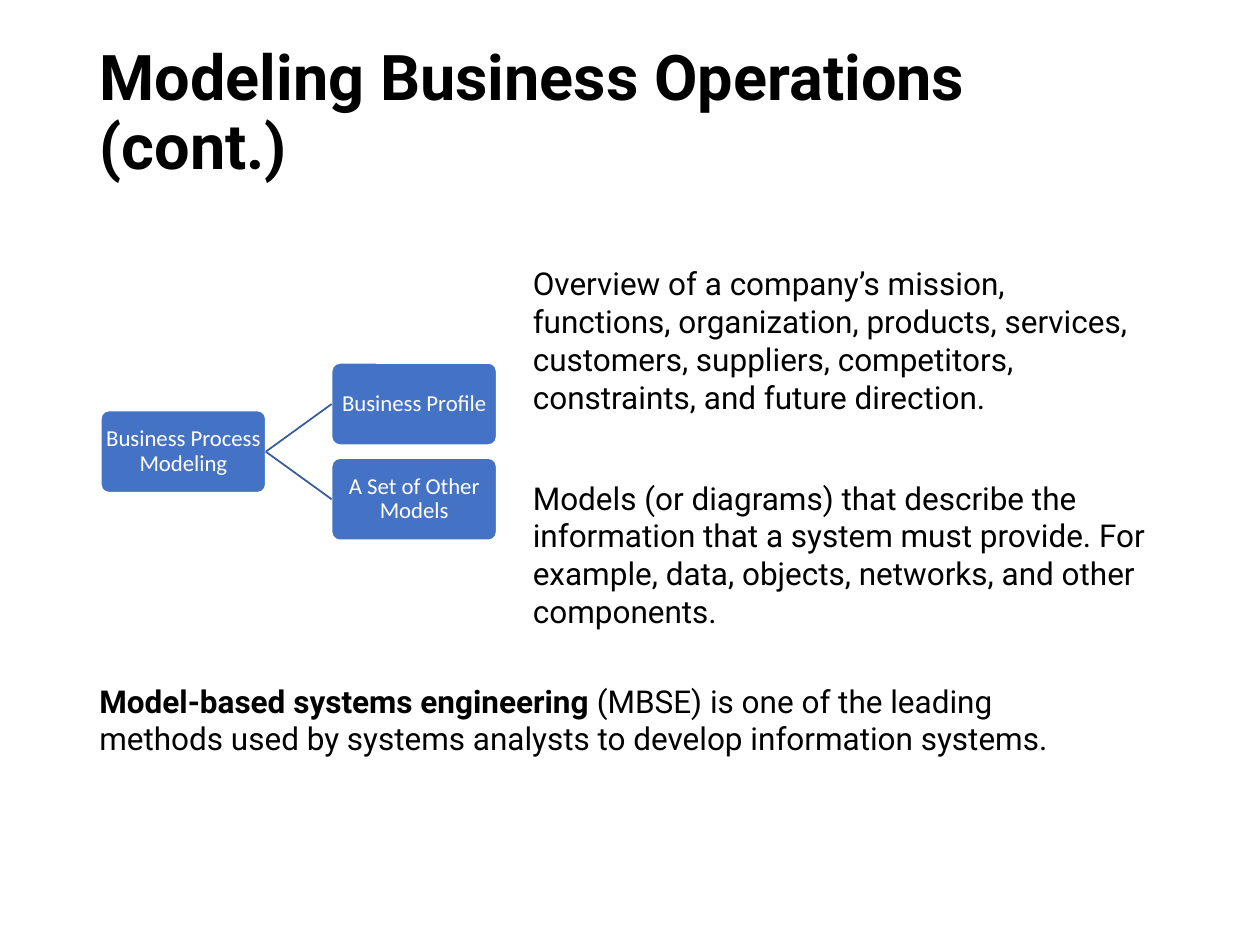
import dataclasses

import lxml.etree
import pptx
import pptx.dml.color
import pptx.enum.shapes
import pptx.enum.text
import pptx.oxml.ns
import pptx.util

Pt = pptx.util.Pt
COLORS = {"ink": "000000", "paper": "FFFFFF", "node": "4472C4", "branch": "365B9D"}
NODE_WIDTH, NODE_HEIGHT = 94.3, 47
ROOT_LEFT, MODEL_LEFT = 57.6, 189.5
ROOT_TOP, MODEL_OFFSET = 234.6, 27.2


@dataclasses.dataclass
class TextRun:
    text: str
    bold: bool = False


@dataclasses.dataclass
class Note:
    left: float
    top: float
    width: float
    height: float
    runs: list[TextRun]


@dataclasses.dataclass
class Node:
    left: float
    top: float
    label: str


NOTES = [
    Note(297.4, 147.6, 365, 94.5, [TextRun(
        "Overview of a company’s mission, functions, organization, products, "
        "services, customers, suppliers, competitors, constraints, and future direction.")]),
    Note(297.4, 270, 365, 94.5, [TextRun(
        "Models (or diagrams) that describe the information that a system must provide. "
        "For example, data, objects, networks, and other components.")]),
    Note(49.7, 386, 587.5, 51, [
        TextRun("Model-based systems engineering", True),
        TextRun(" (MBSE) is one of the leading methods used by systems analysts "
                "to develop information systems."),
    ]),
]
ROOT = Node(ROOT_LEFT, ROOT_TOP, "Business Process Modeling")
MODELS = [
    Node(MODEL_LEFT, ROOT_TOP - MODEL_OFFSET, "Business Profile"),
    Node(MODEL_LEFT, ROOT_TOP + MODEL_OFFSET, "A Set of Other Models"),
]


def rgb(name: str) -> pptx.dml.color.RGBColor:
    return pptx.dml.color.RGBColor.from_string(COLORS[name])


def add_run(para, text: str, font: str, size: float, color: str, bold: bool = False) -> None:
    run = para.add_run()
    run.text = text
    run.font.name = font
    run.font.size = Pt(size)
    run.font.bold = bold
    run.font.color.rgb = rgb(color)


def format_title(title, text: str) -> None:
    title.left, title.top, title.width, title.height = Pt(49.7), Pt(28.8), Pt(620.6), Pt(73.4)
    frame = title.text_frame
    frame.auto_size = pptx.enum.text.MSO_AUTO_SIZE.NONE
    frame.vertical_anchor = pptx.enum.text.MSO_ANCHOR.MIDDLE
    para = frame.paragraphs[0]
    para.alignment = pptx.enum.text.PP_ALIGN.LEFT
    para.line_spacing = 0.9
    add_run(para, text, "Roboto", 36, "ink", True)


def add_node(page, node: Node):
    box = page.shapes.add_shape(
        pptx.enum.shapes.MSO_SHAPE.ROUNDED_RECTANGLE,
        Pt(node.left), Pt(node.top), Pt(NODE_WIDTH), Pt(NODE_HEIGHT))
    box.adjustments[0] = 0.1
    box.shadow.inherit = False
    box.fill.solid()
    box.fill.fore_color.rgb = rgb("node")
    box.line.color.rgb = rgb("paper")
    box.line.width = Pt(1)
    frame = box.text_frame
    frame.word_wrap = True
    frame.vertical_anchor = pptx.enum.text.MSO_ANCHOR.MIDDLE
    frame.margin_left = frame.margin_right = Pt(1)
    frame.margin_top = frame.margin_bottom = Pt(1)
    para = frame.paragraphs[0]
    para.alignment = pptx.enum.text.PP_ALIGN.CENTER
    para.line_spacing = 0.9
    add_run(para, node.label, "Calibri", 13, "paper")
    return box


def add_branch(page, parent, child) -> None:
    branch = page.shapes.add_connector(pptx.enum.shapes.MSO_CONNECTOR.STRAIGHT, 0, 0, 0, 0)
    branch.begin_connect(parent, 3)
    branch.end_connect(child, 1)
    branch.line.color.rgb = rgb("branch")
    branch.line.width = Pt(1)
    lxml.etree.SubElement(branch.element.spPr, pptx.oxml.ns.qn("a:effectLst"))


def add_note(page, note: Note) -> None:
    box = page.shapes.add_textbox(Pt(note.left), Pt(note.top), Pt(note.width), Pt(note.height))
    frame = box.text_frame
    frame.word_wrap = True
    frame.auto_size = pptx.enum.text.MSO_AUTO_SIZE.SHAPE_TO_FIT_TEXT
    for part in note.runs:
        add_run(frame.paragraphs[0], part.text, "Roboto", 18, "ink", part.bold)


def main() -> None:
    deck = pptx.Presentation()
    deck.slide_width, deck.slide_height = Pt(720), Pt(540)
    page = deck.slides.add_slide(deck.slide_layouts[5])
    format_title(page.shapes.title, "Modeling Business Operations (cont.)")
    root = add_node(page, ROOT)
    for model in MODELS:
        add_branch(page, root, add_node(page, model))
    for note in NOTES:
        add_note(page, note)
    deck.save("out.pptx")


if __name__ == "__main__":
    main()
